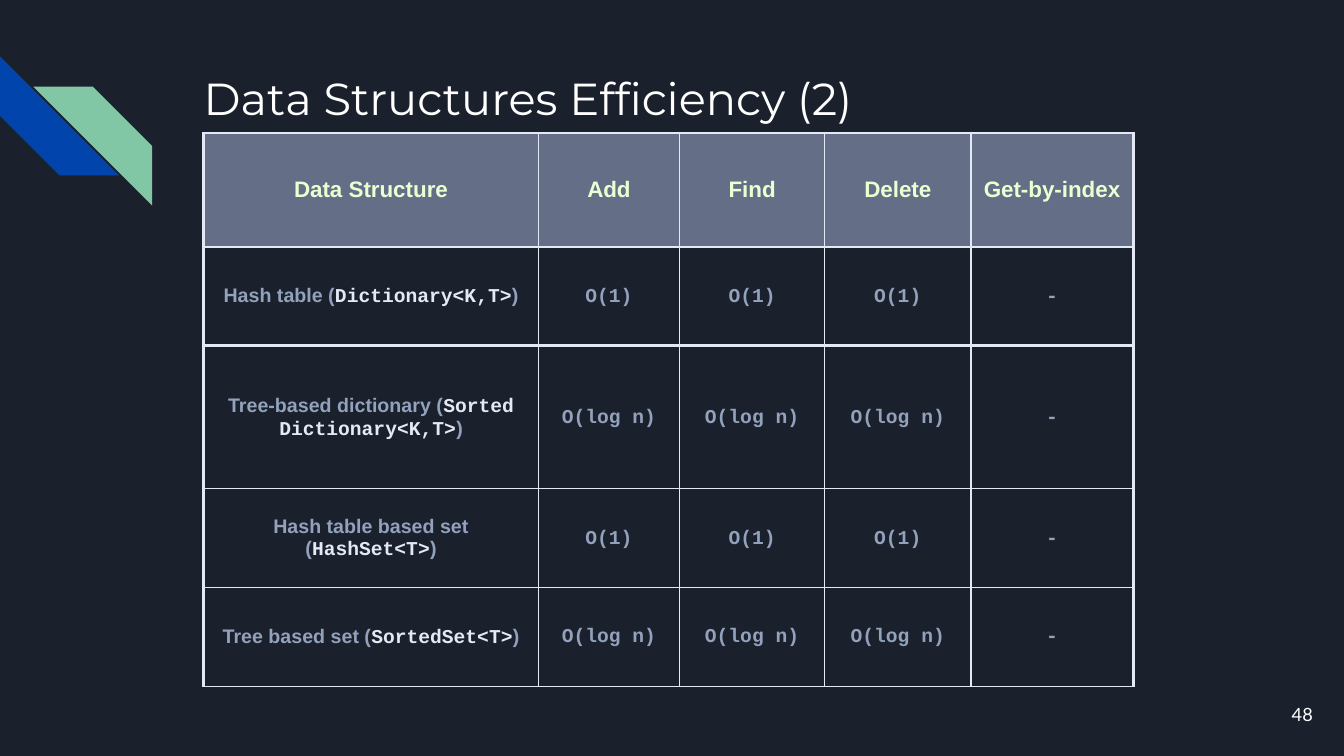
from dataclasses import dataclass

from lxml.etree import SubElement
from pptx import Presentation
from pptx.dml.color import RGBColor
from pptx.enum.shapes import MSO_SHAPE
from pptx.enum.text import MSO_ANCHOR, MSO_AUTO_SIZE, PP_ALIGN
from pptx.oxml import parse_xml
from pptx.oxml.ns import nsdecls, qn
from pptx.slide import Slide
from pptx.table import _Cell as Cell
from pptx.text.text import _Paragraph as Paragraph
from pptx.util import Inches, Pt

NAVY = RGBColor(0x1B, 0x21, 0x2C)
BLUE = RGBColor(0x01, 0x45, 0xAC)
GREEN = RGBColor(0x82, 0xC7, 0xA5)
WHITE = RGBColor(0xFF, 0xFF, 0xFF)
HEADER_FILL = RGBColor(0xAE, 0xBC, 0xE1)
HEADER_TEXT = RGBColor(0xEB, 0xFF, 0xD2)
GREY_BLUE = RGBColor(0x92, 0xA1, 0xBC)
PALE = RGBColor(0xE4, 0xE9, 0xF5)

SANS, MONO = "Arial", "Courier New"
THIN, THICK = 1, 2.25

HEADINGS = ["Data Structure", "Add", "Find", "Delete", "Get-by-index"]
COLUMN_WIDTHS = [3.32, 1.4, 1.44, 1.45, 1.61]
ROW_HEIGHTS = [1.13, 0.98, 1.42, 0.98, 0.98]
VERTICAL_RULES = [THICK, THIN, THIN, THIN, THIN, THICK]
HORIZONTAL_RULES = [THICK, THICK, THICK, THIN, THIN, THIN]


@dataclass(frozen=True)
class Structure:
    description: str
    class_name: str
    cost: str


@dataclass(frozen=True)
class Stripe:
    left: float
    top: float
    rotation: int
    color: RGBColor


STRUCTURES = [
    Structure("Hash table", "Dictionary<K,T>", "O(1)"),
    Structure("Tree-based dictionary", "Sorted Dictionary<K,T>", "O(log n)"),
    Structure("Hash table based set", "HashSet<T>", "O(1)"),
    Structure("Tree based set", "SortedSet<T>", "O(log n)"),
]
STRIPES = [Stripe(0, 0.56, 270, BLUE), Stripe(0.33, 0.86, 90, GREEN)]


def add_text(paragraph: Paragraph, text: str, *, size: float, font: str,
             color: RGBColor, bold: bool = False) -> None:
    run = paragraph.add_run()
    run.text = text
    run.font.size = Pt(size)
    run.font.name = font
    run.font.bold = bold
    run.font.color.rgb = color


def add_stripe(slide: Slide, stripe: Stripe) -> None:
    shape = slide.shapes.add_shape(
        MSO_SHAPE.DIAGONAL_STRIPE, Inches(stripe.left), Inches(stripe.top),
        Inches(1.18), Inches(1.18))
    shape.rotation = stripe.rotation
    shape.shadow.inherit = False
    shape.fill.solid()
    shape.fill.fore_color.rgb = stripe.color
    shape.line.fill.background()


def set_margins(frame, inches: float) -> None:
    frame.margin_left = frame.margin_right = Inches(inches)
    frame.margin_top = frame.margin_bottom = Inches(inches)


def add_title(slide: Slide) -> None:
    title = slide.shapes.title
    title.left, title.top = Inches(1.89), Inches(0.57)
    title.width, title.height = Inches(10.26), Inches(1.33)
    frame = title.text_frame
    frame.auto_size = MSO_AUTO_SIZE.NONE
    frame.vertical_anchor = MSO_ANCHOR.TOP
    set_margins(frame, 0.13)
    paragraph = frame.paragraphs[0]
    paragraph.alignment = PP_ALIGN.LEFT
    add_text(paragraph, "Data Structures Efficiency (2)",
             size=32, font="Montserrat", color=WHITE)


def add_page_number(slide: Slide) -> None:
    box = slide.shapes.add_textbox(
        Inches(12.35), Inches(6.8), Inches(0.8), Inches(0.57))
    frame = box.text_frame
    frame.word_wrap = True
    frame.vertical_anchor = MSO_ANCHOR.MIDDLE
    set_margins(frame, 0.13)
    paragraph = frame.paragraphs[0]
    paragraph.alignment = PP_ALIGN.RIGHT
    add_text(paragraph, "48", size=13, font="Lato", color=WHITE)


def set_borders(cell: Cell, row: int, column: int) -> None:
    widths = {
        "lnL": VERTICAL_RULES[column],
        "lnR": VERTICAL_RULES[column + 1],
        "lnT": HORIZONTAL_RULES[row],
        "lnB": HORIZONTAL_RULES[row + 1],
    }
    properties = cell._tc.get_or_add_tcPr()
    for position, (side, width) in enumerate(widths.items()):
        properties.insert(position, parse_xml(
            f'<a:{side} {nsdecls("a")} w="{Pt(width)}"><a:solidFill>'
            f'<a:srgbClr val="{PALE}"/></a:solidFill></a:{side}>'))


def fill_header(cell: Cell) -> None:
    """Give the cell a half-transparent fill."""
    cell.fill.solid()
    cell.fill.fore_color.rgb = HEADER_FILL
    color = cell._tc.tcPr.find(qn("a:solidFill")).find(qn("a:srgbClr"))
    SubElement(color, qn("a:alpha"), val="50000")


def write_cell(cell: Cell, row: int, column: int) -> None:
    paragraph = cell.text_frame.paragraphs[0]
    paragraph.alignment = PP_ALIGN.CENTER
    paragraph.line_spacing = 0.95
    size = 14 if row else 16
    if row == 0 or column == 0:
        paragraph.space_before = Pt(0.4 * size)
    if row == 0:
        add_text(paragraph, HEADINGS[column], size=size, font=SANS,
                 color=HEADER_TEXT, bold=True)
        return
    structure = STRUCTURES[row - 1]
    if column == 0:
        parts = [(f"{structure.description} (", SANS, GREY_BLUE),
                 (structure.class_name, MONO, PALE),
                 (")", SANS, GREY_BLUE)]
    else:
        is_index = column == len(HEADINGS) - 1
        parts = [("-" if is_index else structure.cost, MONO, GREY_BLUE)]
    for text, font, color in parts:
        add_text(paragraph, text, size=size, font=font, color=color, bold=True)


def add_efficiency_table(slide: Slide) -> None:
    table = slide.shapes.add_table(
        len(ROW_HEIGHTS), len(COLUMN_WIDTHS), Inches(2.02), Inches(1.32),
        Inches(sum(COLUMN_WIDTHS)), Inches(sum(ROW_HEIGHTS))).table
    table.first_row = table.horz_banding = False
    for table_column, width in zip(table.columns, COLUMN_WIDTHS):
        table_column.width = Inches(width)
    for row, height in enumerate(ROW_HEIGHTS):
        table.rows[row].height = Inches(height)
        for column in range(len(COLUMN_WIDTHS)):
            cell = table.cell(row, column)
            cell.vertical_anchor = MSO_ANCHOR.MIDDLE
            if row >= 2 and column >= 1:
                cell.margin_left = cell.margin_right = Inches(0.04)
            if row == 0:
                fill_header(cell)
            else:
                cell.fill.background()
            set_borders(cell, row, column)
            write_cell(cell, row, column)


def main() -> None:
    deck = Presentation()
    deck.slide_width, deck.slide_height = Inches(13.33), Inches(7.5)
    slide = deck.slides.add_slide(deck.slide_layouts.get_by_name("Title Only"))
    slide.background.fill.solid()
    slide.background.fill.fore_color.rgb = NAVY
    for stripe in STRIPES:
        add_stripe(slide, stripe)
    add_title(slide)
    add_page_number(slide)
    add_efficiency_table(slide)
    deck.save("out.pptx")


if __name__ == "__main__":
    main()
